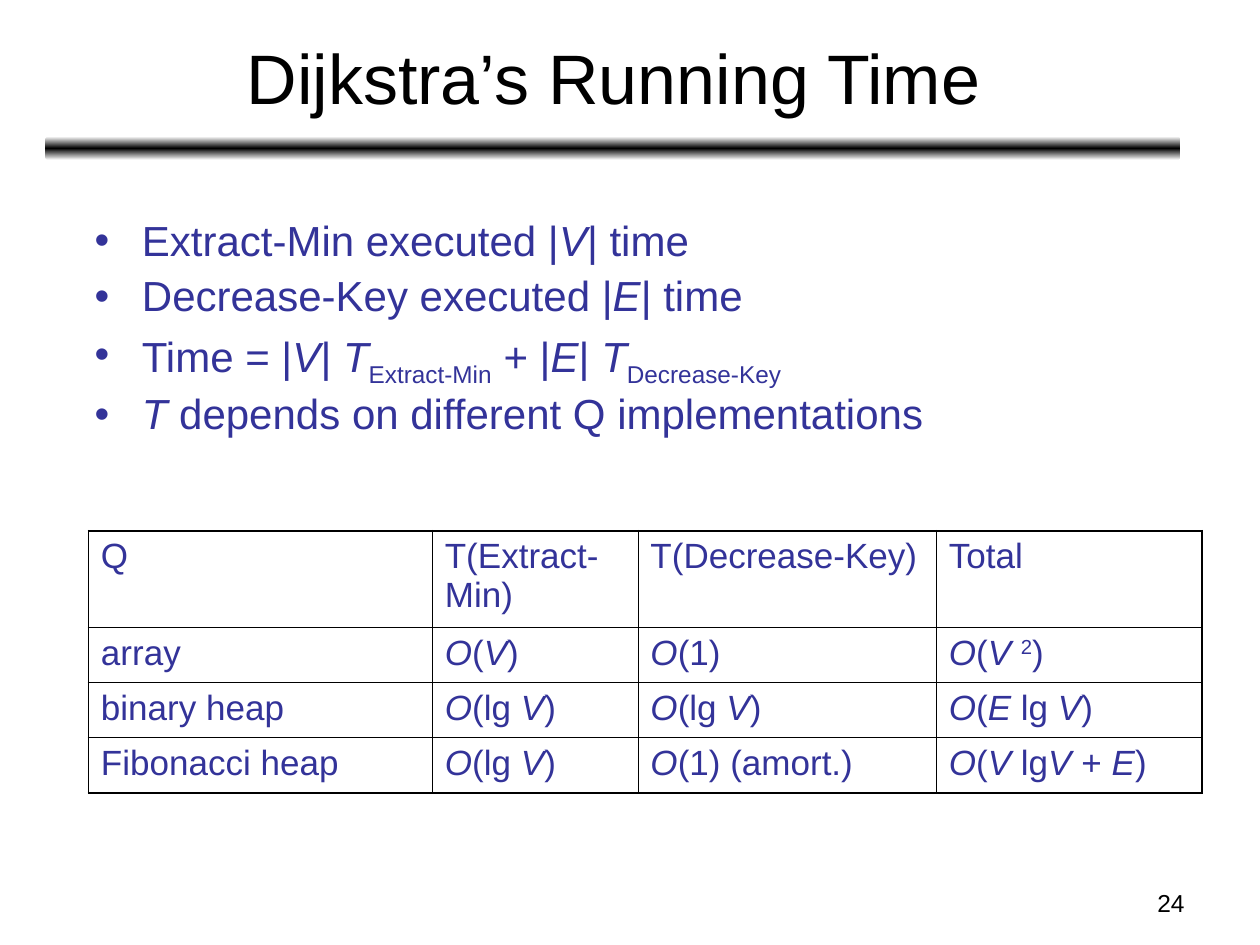
from copy import deepcopy

from lxml.etree import SubElement
from pptx import Presentation
from pptx.dml.color import RGBColor
from pptx.enum.shapes import MSO_SHAPE
from pptx.enum.text import MSO_ANCHOR, PP_ALIGN
from pptx.oxml.ns import qn
from pptx.util import Pt

COLORS = {"white": "FFFFFF", "black": "000000", "text": "333399"}
TITLE = "Dijkstra’s Running Time"
PAGE = "24"
BULLETS = [
    "Extract-Min executed |*V*| time",
    "Decrease-Key executed |*E*| time",
    "Time = |*V*| *T*_Extract-Min_ + |*E*| *T*_Decrease-Key_",
    "*T* depends on different Q implementations",
]
ROWS = [
    ["Q", "T(Extract-Min)", "T(Decrease-Key)", "Total"],
    ["array", "*Ο*(*V*)", "*Ο*(1)", "*Ο*(*V *_2_)"],
    ["binary heap", "*Ο*(lg* V*)", "*Ο*(lg *V*)", "*Ο*(*E* lg *V*)"],
    ["Fibonacci heap", "*Ο*(lg* V*)", "*Ο*(1) (amort.)", "*Ο*(*V* lg*V* + *E*)"],
]
COL_WIDTHS = [196.5, 117.5, 170.5, 152]
ROW_HEIGHTS = [55.2, 31.5, 31.5, 31.5]
THIN, THICK = 0.45, 1.08
TITLE_FONT = {"name": "Arial", "size": Pt(40)}
BODY_FONT = {"name": "Arial", "size": Pt(24)}
CELL_FONT = {"name": "Arial", "size": Pt(20)}
PAGE_FONT = {"name": "Arial", "size": Pt(14)}


def rgb(name):
    return RGBColor.from_string(COLORS[name])


def add_runs(p, text, font, color, shift=0):
    """Write text where *stars* mean italic and _underscores_ a shifted baseline."""
    for i, part in enumerate(text.split("*")):
        for j, piece in enumerate(part.split("_")):
            if not piece:
                continue
            r = p.add_run()
            r.text = piece
            for key, value in font.items():
                setattr(r.font, key, value)
            r.font.color.rgb = rgb(color)
            if i % 2:
                r.font.italic = True
            if j % 2:
                r.font._element.set("baseline", str(shift * 1000))


def add_rule(s):
    sp = s.shapes.add_shape(MSO_SHAPE.ROUNDED_RECTANGLE, Pt(26), Pt(78), Pt(648.5), Pt(13.5))
    sp.shadow.inherit = False
    sp.line.fill.background()
    sp.fill.gradient()
    sp.fill.gradient_angle = 90
    stops = sp._element.spPr.find(".//" + qn("a:gsLst"))
    stops.insert(1, deepcopy(stops[0]))
    for stop, color, place in zip(sp.fill.gradient_stops, ("white", "black", "white"), (0, 0.5, 1)):
        stop.color.rgb = rgb(color)
        stop.position = place


def add_title(s):
    sp = s.shapes.title
    for key, value in {"left": 26.5, "top": 8, "width": 648, "height": 71.5}.items():
        setattr(sp, key, Pt(value))
    tf = sp.text_frame
    tf.vertical_anchor = MSO_ANCHOR.MIDDLE
    p = tf.paragraphs[0]
    p.alignment = PP_ALIGN.CENTER
    add_runs(p, TITLE, TITLE_FONT, "black")


def add_bullets(s):
    tf = s.shapes.add_textbox(Pt(47), Pt(122), Pt(658), Pt(137.5)).text_frame
    tf.word_wrap = True
    for i, text in enumerate(BULLETS):
        p = tf.add_paragraph() if i else tf.paragraphs[0]
        p.line_spacing = 0.9
        p.space_before = Pt(6 if i else 0)
        pPr = p._p.get_or_add_pPr()
        pPr.set("marL", str(Pt(27)))
        pPr.set("indent", str(-Pt(27)))
        clr = SubElement(pPr, qn("a:buClr"))
        SubElement(clr, qn("a:srgbClr"), val=COLORS["text"])
        SubElement(pPr, qn("a:buFont"), typeface="Arial")
        SubElement(pPr, qn("a:buChar"), char="•")
        add_runs(p, text, BODY_FONT, "text", -25)


def set_borders(cell, widths):
    tcPr = cell._tc.get_or_add_tcPr()
    for side, width in widths.items():
        ln = SubElement(tcPr, qn("a:ln" + side), w=str(Pt(width)))
        SubElement(SubElement(ln, qn("a:solidFill")), qn("a:srgbClr"), val=COLORS["black"])


def add_costs(s):
    n, m = len(ROWS), len(COL_WIDTHS)
    table = s.shapes.add_table(n, m, Pt(50.5), Pt(303.3), Pt(sum(COL_WIDTHS)), Pt(sum(ROW_HEIGHTS))).table
    table.first_row = table.horz_banding = False
    for col, width in zip(table.columns, COL_WIDTHS):
        col.width = Pt(width)
    for i, (row, height) in enumerate(zip(ROWS, ROW_HEIGHTS)):
        table.rows[i].height = Pt(height)
        for j, text in enumerate(row):
            cell = table.cell(i, j)
            outer = {"L": j == 0, "R": j == m - 1, "T": i == 0, "B": i == n - 1}
            set_borders(cell, {side: THICK if edge else THIN for side, edge in outer.items()})
            cell.fill.background()
            add_runs(cell.text_frame.paragraphs[0], text, CELL_FONT, "text", 30)


def add_page_number(s):
    tf = s.shapes.add_textbox(Pt(516), Pt(504), Pt(168), Pt(25)).text_frame
    tf.word_wrap = True
    p = tf.paragraphs[0]
    p.alignment = PP_ALIGN.RIGHT
    add_runs(p, PAGE, PAGE_FONT, "black")


def main():
    prs = Presentation()
    prs.slide_width, prs.slide_height = Pt(720), Pt(540)
    s = prs.slides.add_slide(prs.slide_layouts[5])
    for add in (add_rule, add_page_number, add_title, add_bullets, add_costs):
        add(s)
    prs.save("out.pptx")


if __name__ == "__main__":
    main()
